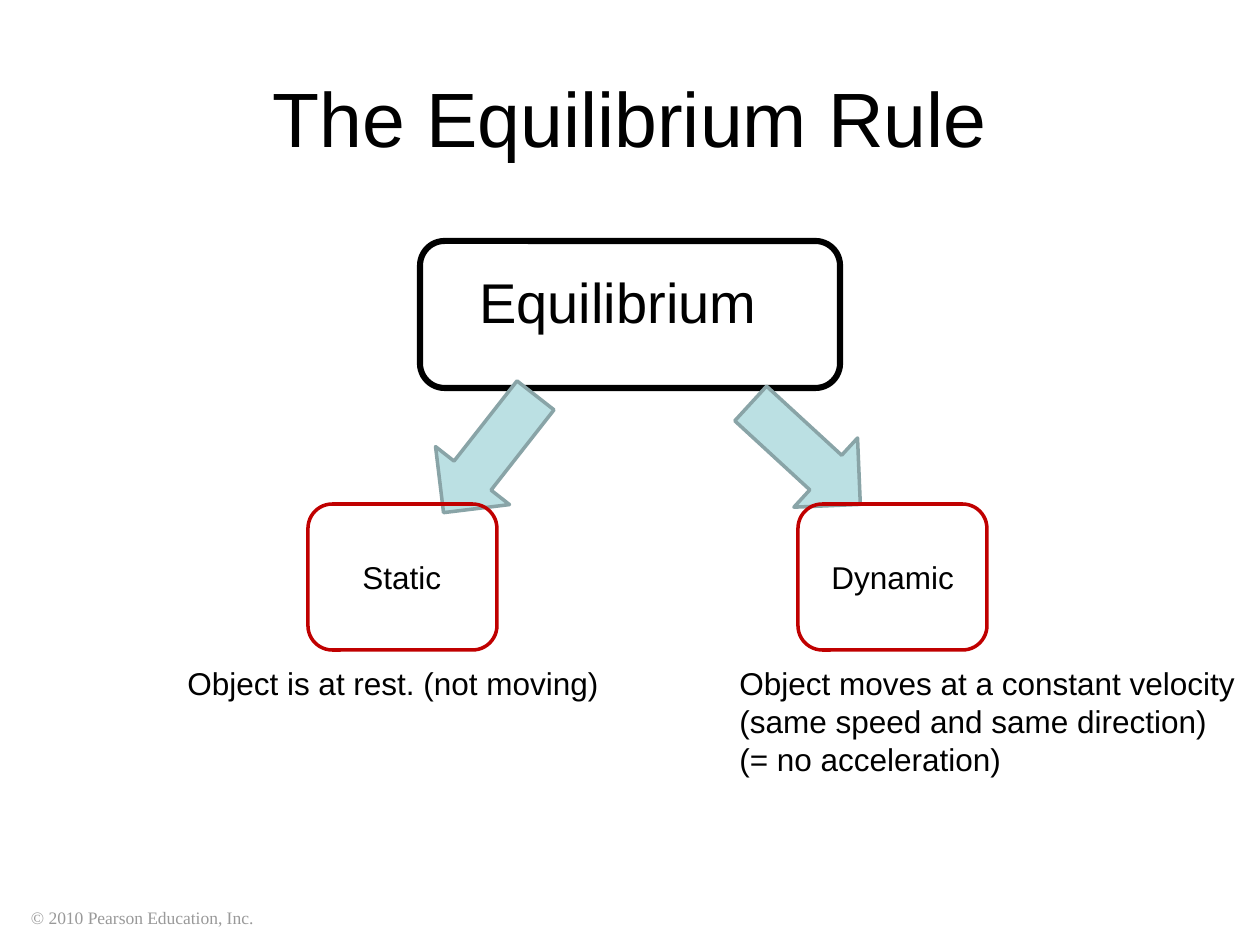
import pptx
import pptx.util
import pptx.dml.color
import pptx.enum.shapes
import pptx.enum.text

Pt = pptx.util.Pt
KIND = pptx.enum.shapes.MSO_SHAPE
ALIGN = pptx.enum.text.PP_ALIGN
ANCHOR = pptx.enum.text.MSO_ANCHOR
FIT = pptx.enum.text.MSO_AUTO_SIZE
color = pptx.dml.color.RGBColor.from_string
SCALE = 914400 / 126

prs = pptx.Presentation()
prs.slide_width = round(1260 * SCALE)
prs.slide_height = round(945 * SCALE)
slide = prs.slides.add_slide(prs.slide_layouts[5])


def add_box(kind, box, line, width, fill=None, turn=0):
    shape = slide.shapes.add_shape(kind, *[round(v * SCALE) for v in box])
    shape.shadow.inherit = False
    shape.rotation = turn
    if fill:
        shape.fill.solid()
        shape.fill.fore_color.rgb = color(fill)
    else:
        shape.fill.background()
        shape.adjustments[0] = 0.167
    shape.line.color.rgb = color(line)
    shape.line.width = Pt(width)


def add_text(box, lines, size, wrap=False, name="Arial", ink="000000", inset=True):
    shape = slide.shapes.add_textbox(*[round(v * SCALE) for v in box])
    frame = shape.text_frame
    frame.word_wrap = wrap
    frame.auto_size = FIT.SHAPE_TO_FIT_TEXT
    if not inset:
        frame.margin_left = frame.margin_right = 0
        frame.margin_top = frame.margin_bottom = 0
    frame.text = "\n".join(lines)
    for para in frame.paragraphs:
        para.font.size = Pt(size)
        para.font.name = name
        para.font.color.rgb = color(ink)


title = slide.shapes.title
title.left, title.top, title.width, title.height = [
    round(v * SCALE) for v in (63, 38, 1134, 158)]
title.text_frame.text = "The Equilibrium Rule"
title.text_frame.vertical_anchor = ANCHOR.MIDDLE
para = title.text_frame.paragraphs[0]
para.alignment = ALIGN.CENTER
para.font.size = Pt(44)
para.font.name = "Arial"
para.font.color.rgb = color("000000")

add_text((31, 907, 225, 21), ["© 2010 Pearson Education, Inc."], 10,
         name="Times New Roman", ink="999999", inset=False)

add_box(KIND.ROUNDED_RECTANGLE, (420, 241, 420, 147), "000000", 3.5)
add_text((467, 261, 329, 81), ["Equilibrium"], 32, wrap=True)

for left, turn in ((415, 128.1), (731, 42.6)):
    add_box(KIND.RIGHT_ARROW, (left, 407, 149, 94), "89A4A7", 2, "BBE0E3", turn)

# left of the box; label with its left and width; note with its left and width
cases = [
    (308, "Static", 350, 108, ["Object is at rest. (not moving)"], 175, 440),
    (798, "Dynamic", 819, 152,
     ["Object moves at a constant velocity",
      "(same speed and same direction)",
      "(= no acceleration)"], 727, 525),
]
for left, label, start, width, note, edge, span in cases:
    add_box(KIND.ROUNDED_RECTANGLE, (left, 504, 189, 146), "C00000", 2)
    add_text((start, 552, width, 50), [label], 18)
    add_text((edge, 658, span, 12 + 38 * len(note)), note, 18)

prs.save("out.pptx")
